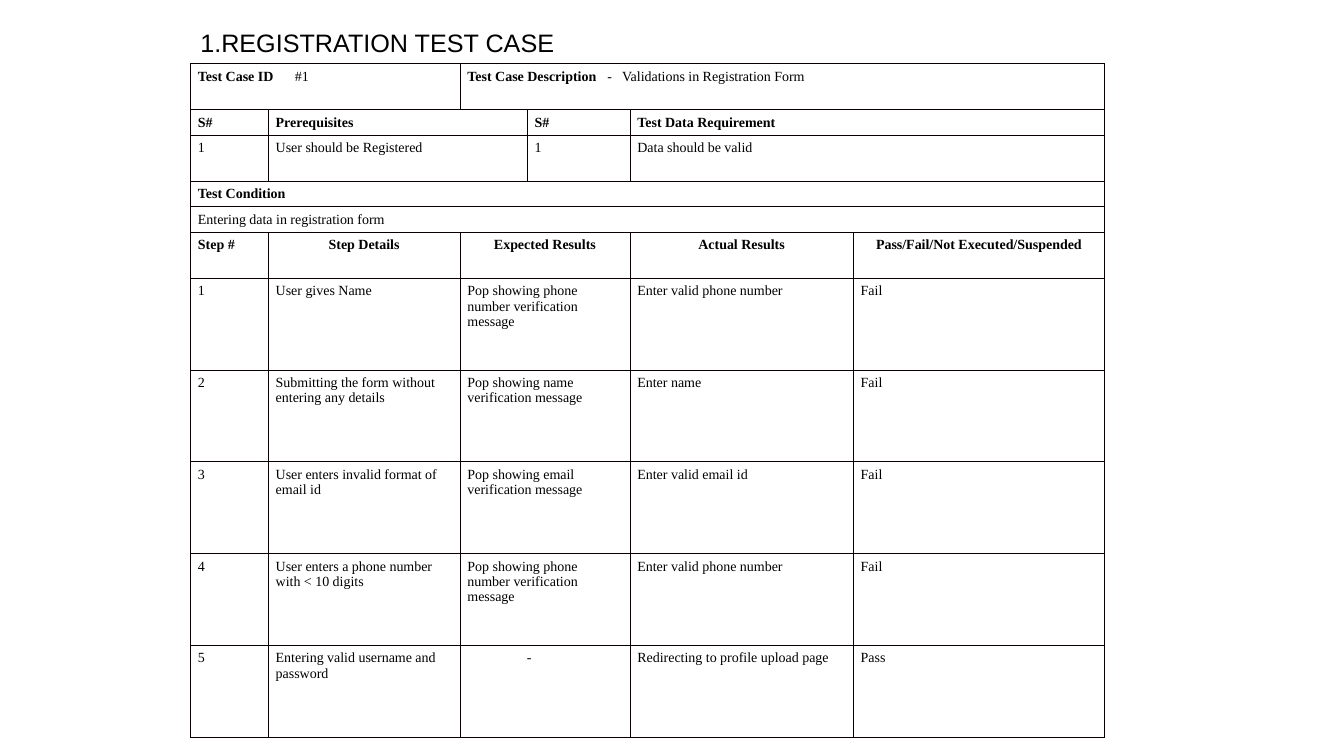
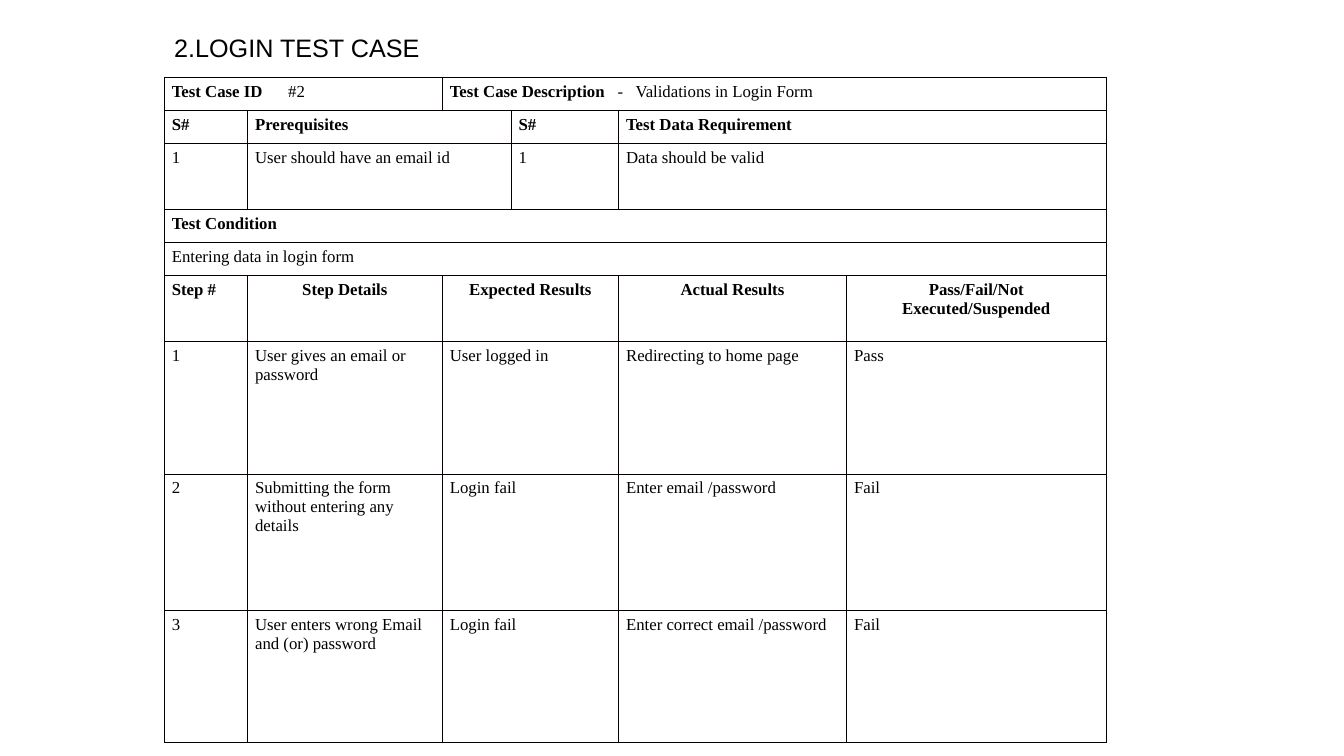
from pptx import Presentation
from pptx.dml.color import RGBColor
from pptx.enum import text
from pptx.oxml import ns
from pptx.util import Pt
from lxml import etree

HUES = {"text": "000000", "line": "080000"}
HEAD, BODY = "Arial", "Times New Roman"
STOPS = {0: [6.93], 2: [10, 11.06]}
DASH = 4.25
TOP, PAIR, FULL, STEP = (0, 2), (0, 1, 3, 4), (0,), (0, 1, 2, 4, 5)
BOLD = (1, 3, 5)

CASES = [
    {
        "title": "1.REGISTRATION TEST CASE", "box": (136.1, 15.8, 458.6, 29),
        "at": (136.1, 45.5), "size": 10, "unit": 16.4,
        "cols": [55.6, 137, 48, 73.5, 159.6, 179.6],
        "rows": [2, 1, 2, 1, 1, 2, 4, 4, 4, 4, 4],
        "id": "#1", "about": "Validations in Registration Form",
        "need": "User should be Registered",
        "state": "Entering data in registration form",
        "steps": [
            ("User gives Name", "Pop showing phone number verification message",
             "Enter valid phone number", "Fail"),
            ("Submitting the form without entering any details",
             "Pop showing name verification message", "Enter name", "Fail"),
            ("User enters invalid format of email id",
             "Pop showing email verification message", "Enter valid email id", "Fail"),
            ("User enters a phone number with < 10 digits",
             "Pop showing phone number verification message",
             "Enter valid phone number", "Fail"),
            ("Entering valid username and password", "-",
             "Redirecting to profile upload page", "Pass"),
        ],
    },
    {
        "title": "2.LOGIN TEST CASE", "box": (117.4, 19.4, 348.5, 29),
        "at": (117.4, 55.4), "size": 12, "unit": 23.6,
        "cols": [59.5, 139.2, 49.2, 76.8, 162.9, 185.6],
        "rows": [1, 1, 2, 1, 1, 2, 4, 4.13, 4],
        "id": "#2", "about": "Validations in Login Form",
        "need": "User should have an email id",
        "state": "Entering data in login form",
        "steps": [
            ("User gives an email or password", "User logged in",
             "Redirecting to home page", "Pass"),
            ("Submitting the form without entering any details", "Login fail",
             "Enter email /password", "Fail"),
            ("User enters wrong Email and (or) password", "Login fail",
             "Enter correct email /password", "Fail"),
        ],
    },
]


def style(para, face, size, bold=None):
    para.font.name = face
    para.font.size = Pt(size)
    para.font.bold = bold
    para.font.color.rgb = RGBColor.from_string(HUES["text"])


def border(cell):
    props = cell._tc.get_or_add_tcPr()
    for side in ("a:lnL", "a:lnR", "a:lnT", "a:lnB"):
        line = etree.SubElement(props, ns.qn(side), w=str(Pt(0.45)))
        fill = etree.SubElement(line, ns.qn("a:solidFill"))
        etree.SubElement(fill, ns.qn("a:srgbClr"), val=HUES["line"])
    cell.fill.background()


deck = Presentation()
deck.slide_width, deck.slide_height = Pt(960.5), Pt(540)

for case in CASES:
    slide = deck.slides.add_slide(deck.slide_layouts[6])
    size = case["size"]
    lines = [
        (TOP, (f"Test Case ID\t{case['id']}",
               f"Test Case Description\t-\t{case['about']}")),
        (PAIR, ("S#", "Prerequisites", "S#", "Test Data Requirement")),
        (PAIR, ("1", case["need"], "1", "Data should be valid")),
        (FULL, ("Test Condition",)),
        (FULL, (case["state"],)),
        (STEP, ("Step #", "Step Details", "Expected Results", "Actual Results",
                "Pass/Fail/Not Executed/Suspended")),
    ]
    lines += [(STEP, (str(n), *step)) for n, step in enumerate(case["steps"], 1)]

    highs = [case["unit"] * share for share in case["rows"]]
    area = (*case["at"], sum(case["cols"]), sum(highs))
    grid = slide.shapes.add_table(
        len(highs), len(case["cols"]), *[Pt(v) for v in area]).table
    grid.first_row = grid.horz_banding = False
    for col, wide in zip(grid.columns, case["cols"]):
        col.width = Pt(wide)
    for row, high in zip(grid.rows, highs):
        row.height = Pt(high)
    for cell in grid.iter_cells():
        cell.margin_left = cell.margin_right = Pt(5.4)
        cell.margin_top = cell.margin_bottom = Pt(3.6)
        border(cell)

    for r, (starts, words) in enumerate(lines):
        ends = (*starts[1:], len(case["cols"]))
        for c, end, word in zip(starts, ends, words):
            cell = grid.cell(r, c)
            if end - c > 1:
                cell.merge(grid.cell(r, end - 1))
            para = cell.text_frame.paragraphs[0]
            props = para._p.get_or_add_pPr()
            if r == 0:
                label, rest = word.split("\t", 1)
                stops = etree.SubElement(props, ns.qn("a:tabLst"))
                for stop in STOPS[c]:
                    etree.SubElement(stops, ns.qn("a:tab"),
                                     pos=str(Pt(stop * size)), algn="l")
                for part, bold in ((label, True), ("\t" + rest, False)):
                    run = para.add_run()
                    run.text = part
                    run.font.bold = bold
                style(para, BODY, size)
            else:
                para.add_run().text = word
                style(para, BODY, size, r in BOLD)
            if word == "-":
                props.set("marL", str(Pt(DASH * size)))
                props.set("indent", "0")
            if r == 5 and c > 0:
                para.alignment = text.PP_ALIGN.CENTER

    frame = slide.shapes.add_textbox(*[Pt(v) for v in case["box"]]).text_frame
    frame.word_wrap = True
    frame.auto_size = text.MSO_AUTO_SIZE.SHAPE_TO_FIT_TEXT
    para = frame.paragraphs[0]
    para.add_run().text = case["title"]
    style(para, HEAD, 18)

deck.save("out.pptx")
